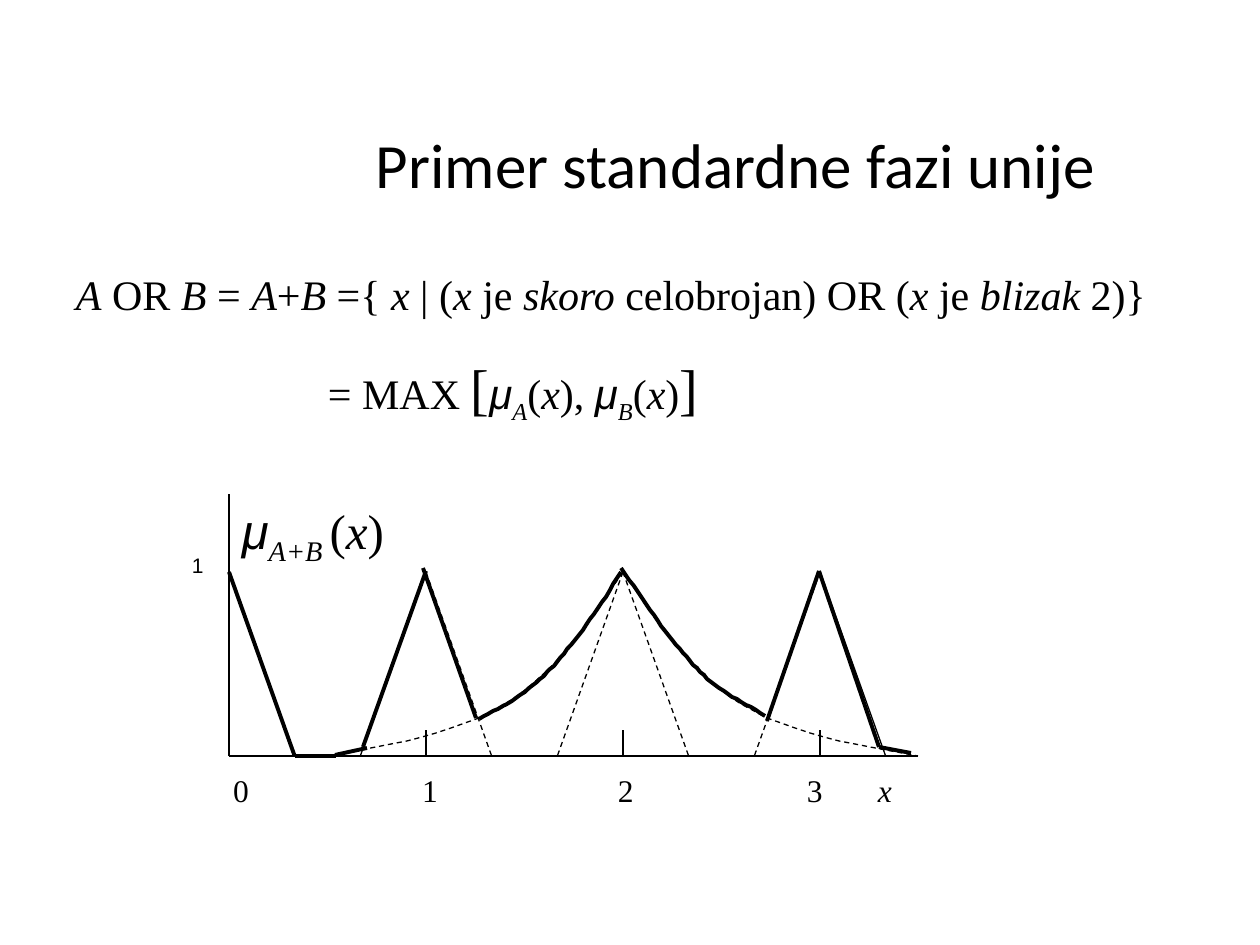
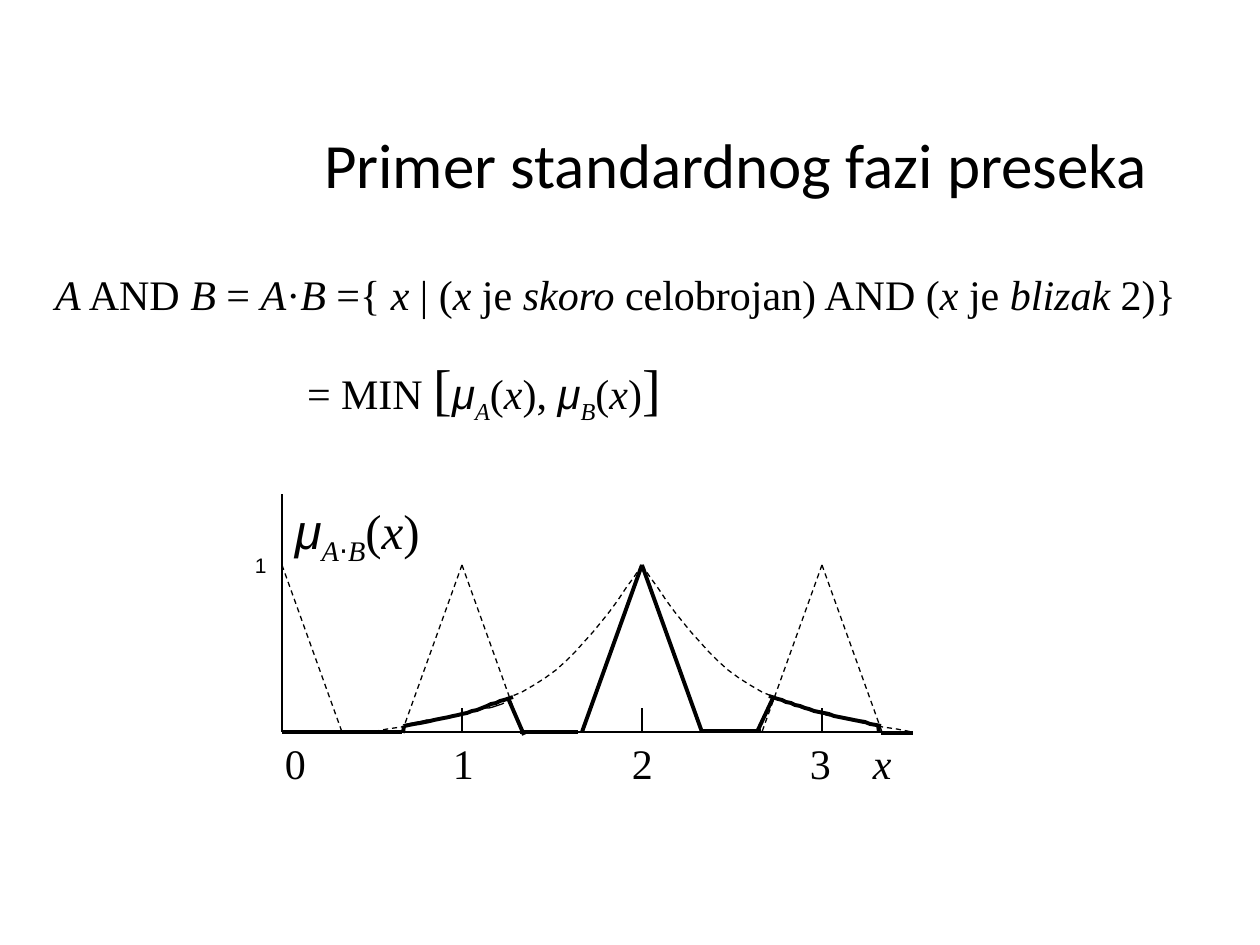
import itertools

import pptx
import pptx.dml.color
import pptx.enum.dml
import pptx.enum.shapes
import pptx.enum.text
import pptx.oxml
import pptx.oxml.ns
import pptx.util

PX = 914400 / 126  # EMU in one px
BLACK = pptx.dml.color.RGBColor(0x00, 0x00, 0x00)
SERIF, SANS, TITLE_FONT = "Times New Roman", "Arial", "Calibri"
THIN, THICK = 0.75, 2.25
NS = pptx.oxml.ns.nsdecls("a")

# Fuzzy "close to 2" curve: Bezier points from its peak to its foot, as fractions
BELL = [(0, 0), (0.12, 0.28), (0.23, 0.55), (0.4, 0.72), (0.57, 0.88), (0.78, 0.94), (1, 1)]

SLIDES = [
    dict(
        title="Primer standardne fazi unije",
        formula=["*A* OR *B* = *A*+*B* ={ *x* | (*x* je *skoro* celobrojan) OR (*x* je *blizak* 2)}",
                 "\t\t= MAX [*μ_A_*(*x*), *μ_B_*(*x*)]"],
        formula_box=(63, 262, 1113, 170),
        axis_name="*μ_A+B _*(*x*)", axis_name_size=(192, 63),
        one_left=179, labels_box=(220, 765, 851, 63), labels_size=18,
        labels_inset=13, label_stops=[189, 385, 574, 645],
        x0=229, step=197, peak=572, base=756,
        # legs of the triangles: peak, direction, width, dashed
        legs=[(0, 1, THICK, False), (1, -1, THIN, False), (1, 1, THIN, True), (2, -1, THIN, True),
              (2, 1, THIN, True), (3, -1, THIN, True), (3, 1, THIN, False)],
        result=[
            [(295, 756), (336, 756)],
            [(335, 755), (367, 748)],
            [(363, 747), (426, 571)],
            [(476, 718), (423, 568)],
            [(479, 719), (498, 709), (517, 699), (533, 685), (548, 673), (559, 660), (575, 640),
             (590, 621), (606, 597), (621, 572)],
            [(765, 716), (746, 704), (727, 695), (711, 682), (696, 668), (684, 655), (669, 636),
             (654, 617), (638, 592), (621, 568)],
            [(767, 721), (819, 571)],
            [(819, 571), (879, 747)],
            [(911, 753), (879, 747)],
        ],
        thin_result=[],
    ),
    dict(
        title="Primer standardnog fazi preseka",
        formula=["*A* AND *B* = *A*·*B* ={ *x* | (*x* je *skoro* celobrojan) AND (*x* je *blizak* 2)}",
                 "\t\t= MIN [*μ_A_*(*x*), *μ_B_*(*x*)]"],
        formula_box=(42, 262, 1155, 170),
        axis_name="*μ_A⋅B_*(*x*)", axis_name_size=(175, 57),
        one_left=242, labels_box=(252, 731, 683, 57), labels_size=24,
        labels_inset=33, label_stops=[168, 347, 525, 588],
        x0=282, step=180, peak=565, base=732,
        legs=[(0, 1, THIN, True), (1, -1, THIN, True), (1, 1, THIN, True), (2, -1, THICK, False),
              (2, 1, THICK, False), (3, -1, THIN, True), (3, 1, THIN, True)],
        result=[
            [(282, 732), (402, 732)],
            [(403, 733), (404, 726)],
            [(404, 726), (425, 722), (445, 718), (462, 714), (481, 709), (504, 699), (513, 697)],
            [(508, 698), (524, 735)],
            [(520, 732), (578, 732)],
            [(703, 731), (761, 731)],
            [(774, 696), (757, 732)],
            [(881, 726), (859, 721), (838, 717), (819, 712), (800, 707), (779, 699), (769, 696)],
            [(879, 732), (878, 725)],
            [(881, 733), (913, 733)],
        ],
        thin_result=[
            [(403, 725), (423, 721), (442, 718), (460, 714), (476, 711), (496, 706), (504, 703)],
        ],
    ),
]


def write(s, lines, box, size=24, font=SERIF, sp=None, before=0, stops=(), inset=13, align=None):
    """Fill a box with text; * toggles italics and _ toggles subscript."""
    left, top, width, height = [round(v * PX) for v in box]
    if sp is None:
        sp = s.shapes.add_textbox(left, top, width, height)
    sp.left, sp.top, sp.width, sp.height = left, top, width, height
    tf = sp.text_frame
    tf.word_wrap = True
    tf.margin_left = round(inset * PX)
    for i, line in enumerate(lines):
        p = tf.add_paragraph() if i else tf.paragraphs[0]
        if i:
            p.space_before = pptx.util.Pt(before)
        if align is not None:
            p.alignment = align
        if stops:
            tabs = "".join(f'<a:tab pos="{round(v * PX)}" algn="l"/>' for v in stops)
            p._p.get_or_add_pPr().append(pptx.oxml.parse_xml(f"<a:tabLst {NS}>{tabs}</a:tabLst>"))
        italic = sub = False
        chars = []
        for ch in line:
            if ch == "*":
                italic = not italic
            elif ch == "_":
                sub = not sub
            else:
                face = SANS if ch in "μ⋅" else font
                chars.append((ch, (italic, sub, face, 32 if ch in "[]" else size)))
        for style, group in itertools.groupby(chars, key=lambda c: c[1]):
            r = p.add_run()
            r.text = "".join(c[0] for c in group)
            r.font.italic, lowered, r.font.name, points = style
            r.font.size = pptx.util.Pt(points)
            r.font.color.rgb = BLACK
            if lowered:
                r._r.get_or_add_rPr().set("baseline", "-25000")


def stroke(s, pts, width=THIN, dashed=False):
    """Draw a straight line through two points, or a chain of cubic Bezier curves."""
    if len(pts) == 2:
        (x1, y1), (x2, y2) = pts
        sp = s.shapes.add_connector(pptx.enum.shapes.MSO_CONNECTOR.STRAIGHT,
                                    *[round(v * PX) for v in (x1, y1, x2, y2)])
        sp._element.spPr.append(pptx.oxml.parse_xml(f"<a:effectLst {NS}/>"))
    else:
        curve = []
        for k in range(0, len(pts) - 1, 3):
            for t in [n / 12 for n in range(1, 13)]:
                weights = ((1 - t) ** 3, 3 * t * (1 - t) ** 2, 3 * t * t * (1 - t), t ** 3)
                curve.append([sum(w * q[axis] for w, q in zip(weights, pts[k:k + 4]))
                              for axis in (0, 1)])
        builder = s.shapes.build_freeform(*pts[0], scale=PX)
        builder.add_line_segments(curve, close=False)
        sp = builder.convert_to_shape()
        sp.shadow.inherit = False
        sp.fill.background()
    sp.line.color.rgb = BLACK
    sp.line.width = pptx.util.Pt(width)
    if dashed:
        sp.line.dash_style = pptx.enum.dml.MSO_LINE.DASH


prs = pptx.Presentation()
prs.slide_width, prs.slide_height = pptx.util.Inches(10), pptx.util.Inches(7.5)

for d in SLIDES:
    s = prs.slides.add_slide(prs.slide_layouts[5])
    x0, step, peak, base = d["x0"], d["step"], d["peak"], d["base"]

    # Title
    write(s, [d["title"]], (305, 84, 861, 158), size=36, font=TITLE_FONT, sp=s.shapes.title,
          align=pptx.enum.text.PP_ALIGN.CENTER)
    s.shapes.title.text_frame.vertical_anchor = pptx.enum.text.MSO_ANCHOR.MIDDLE

    # Axes, ticks and their labels
    write(s, ["0\t1\t2\t3\t*x*"], d["labels_box"], size=d["labels_size"],
          stops=d["label_stops"], inset=d["labels_inset"])
    stroke(s, [(x0, base), (x0 + 3.5 * step, base)])
    stroke(s, [(x0, base), (x0, 494)])
    for n in (1, 2, 3):
        stroke(s, [(x0 + n * step, base), (x0 + n * step, base - step / 7.5)])
    write(s, [d["axis_name"]], (x0, 494, *d["axis_name_size"]), size=28)
    write(s, ["1"], (d["one_left"], 546, 42, 38), size=12, font=SANS)

    # Triangles "almost integer" and bell "close to 2"
    for n, side, width, dashed in d["legs"]:
        x = x0 + n * step
        stroke(s, [(x, peak), (x + side * step / 3, base)], width, dashed)
    for side in (-1, 1):
        bell = [(x0 + (2 + side * 1.5 * u) * step, peak + v * (base - peak)) for u, v in BELL]
        stroke(s, bell, dashed=True)

    # Resulting membership function
    for pts in d["result"]:
        stroke(s, pts, THICK)
    for pts in d["thin_result"]:
        stroke(s, pts)

    # Formula
    write(s, d["formula"], d["formula_box"], before=20, stops=[126, 252])

prs.save("out.pptx")
